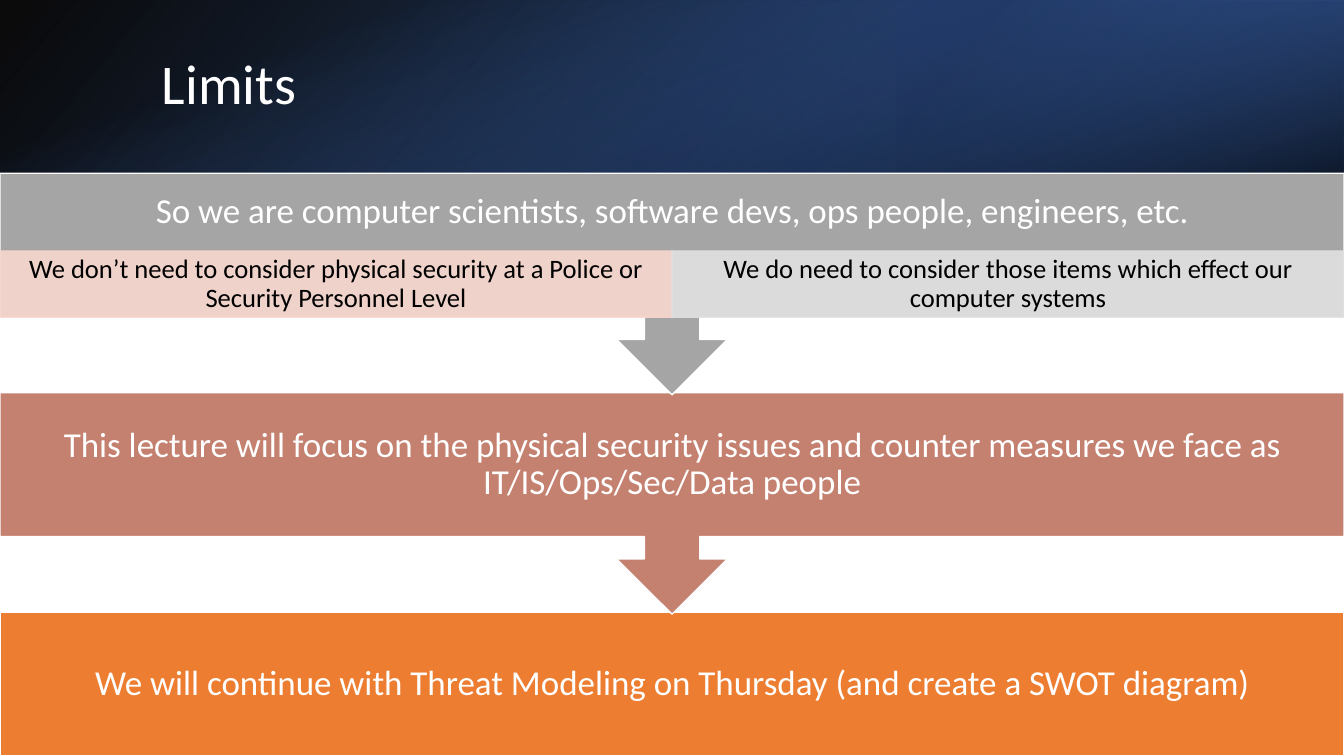
import pptx
import pptx.dml.color
import pptx.enum.shapes
import pptx.enum.text
import pptx.oxml
import pptx.oxml.ns
import pptx.util
from lxml import etree

RGBColor = pptx.dml.color.RGBColor
Shape = pptx.enum.shapes.MSO_SHAPE
Align = pptx.enum.text.PP_ALIGN

WHITE = RGBColor(0xFF, 0xFF, 0xFF)
BLACK = RGBColor(0x00, 0x00, 0x00)
NAVY = RGBColor(0x20, 0x38, 0x64)
DEEP_BLUE = RGBColor(0x2F, 0x55, 0x97)
BLUE = RGBColor(0x44, 0x72, 0xC4)
ORANGE = RGBColor(0xED, 0x7D, 0x31)
CLAY = RGBColor(0xC4, 0x81, 0x70)
GRAY = RGBColor(0xA5, 0xA5, 0xA5)
PALE_PINK = RGBColor(0xF8, 0xD7, 0xCE)
PALE_GRAY = RGBColor(0xE1, 0xE1, 0xE1)

EMU_PER_PX = 9525
WIDTH, HEIGHT = 1280, 720
HEADER = 165
STEP = 209
BAND = 137
CALLOUT = 211
INTRO = 74
DETAIL = 63


class SlideBuilder:
    font = "Calibri"

    def __init__(self, presentation):
        self.slide = presentation.slides.add_slide(presentation.slide_layouts[6])

    def px(self, *lengths):
        return [pptx.util.Emu(length * EMU_PER_PX) for length in lengths]

    def shape(self, kind, box, rotation=0):
        shape = self.slide.shapes.add_shape(kind, *self.px(*box))
        shape.shadow.inherit = False
        shape.rotation = rotation
        return shape

    def gradient(self, box, stops, angle, rotation=0, flip=False):
        shape = self.shape(Shape.RECTANGLE, box, rotation)
        shape.line.fill.background()
        shape.fill.background()
        properties = shape.element.spPr
        if flip:
            properties.find(pptx.oxml.ns.qn("a:xfrm")).set("flipH", "1")
        stop_xml = "".join(
            f'<a:gs pos="{position * 1000}"><a:srgbClr val="{color}">'
            f'<a:alpha val="{opacity * 1000}"/></a:srgbClr></a:gs>'
            for position, color, opacity in stops
        )
        fill = pptx.oxml.parse_xml(
            f'<a:gradFill {pptx.oxml.ns.nsdecls("a")} rotWithShape="1">'
            f'<a:gsLst>{stop_xml}</a:gsLst>'
            f'<a:lin ang="{angle * 60000}" scaled="0"/></a:gradFill>'
        )
        properties.replace(properties.find(pptx.oxml.ns.qn("a:noFill")), fill)

    def block(self, kind, box, color, border, opacity=100, rotation=0):
        shape = self.shape(kind, box, rotation)
        shape.fill.solid()
        shape.fill.fore_color.rgb = color
        shape.line.color.rgb = border
        shape.line.width = pptx.util.Pt(1)
        if opacity < 100:
            for node in shape.element.spPr.iter(pptx.oxml.ns.qn("a:srgbClr")):
                alpha = etree.SubElement(node, pptx.oxml.ns.qn("a:alpha"))
                alpha.set("val", str(opacity * 1000))
        return shape

    def set_text(self, shape, text, size, color, insets, align=Align.CENTER):
        frame = shape.text_frame
        frame.text = text
        frame.word_wrap = True
        frame.vertical_anchor = pptx.enum.text.MSO_ANCHOR.MIDDLE
        side, end = self.px(*insets)
        frame.margin_left = frame.margin_right = side
        frame.margin_top = frame.margin_bottom = end
        paragraph = frame.paragraphs[0]
        paragraph.alignment = align
        paragraph.line_spacing = 0.9
        font = paragraph.runs[0].font
        font.name = self.font
        font.size = pptx.util.Pt(size)
        font.color.rgb = color

    def label(self, box, text, size=25, insets=(18, 18), align=Align.CENTER):
        shape = self.slide.shapes.add_textbox(*self.px(*box))
        self.set_text(shape, text, size, WHITE, insets, align)

    def callout(self, top, text_height, color, text):
        self.block(Shape.UP_ARROW_CALLOUT, (0, top, WIDTH, CALLOUT), color, WHITE, rotation=180)
        self.label((0, top, WIDTH, text_height), text)

    def detail(self, column, color, text):
        half = WIDTH // 2
        box = (column * half, HEADER + INTRO, half, DETAIL)
        shape = self.block(Shape.RECTANGLE, box, color, color, opacity=90)
        self.set_text(shape, text, 19, BLACK, (14, 3))


def main():
    presentation = pptx.Presentation()
    presentation.slide_width = WIDTH * EMU_PER_PX
    presentation.slide_height = HEIGHT * EMU_PER_PX
    builder = SlideBuilder(presentation)

    builder.gradient((0, 0, WIDTH, HEADER), [(0, BLACK, 96), (100, DEEP_BLUE, 100)], 140, flip=True)
    third = WIDTH // 3
    builder.gradient(
        (WIDTH - third, 0, third, HEADER), [(19, NAVY, 68), (100, BLUE, 79)], 320, 180, True
    )
    offset = (WIDTH - HEADER) // 2
    builder.gradient(
        (offset, -offset, HEADER, WIDTH), [(23, BLUE, 0), (99, BLACK, 74)], 340, 90
    )
    builder.label((144, 36, 1054, 92), "Limits", 40, (10, 5), Align.LEFT)

    closing = builder.block(
        Shape.RECTANGLE, (0, HEADER + 2 * STEP, WIDTH, BAND), ORANGE, WHITE
    )
    builder.set_text(
        closing,
        "We will continue with Threat Modeling on Thursday (and create a SWOT diagram)",
        25, WHITE, (18, 18),
    )
    builder.callout(
        HEADER + STEP, BAND, CLAY,
        "This lecture will focus on the physical security issues and counter measures "
        "we face as IT/IS/Ops/Sec/Data people",
    )
    builder.callout(
        HEADER, INTRO, GRAY,
        "So we are computer scientists, software devs, ops people, engineers, etc.",
    )
    details = [
        (PALE_PINK, "We don’t need to consider physical security at a Police or Security Personnel Level"),
        (PALE_GRAY, "We do need to consider those items which effect our computer systems"),
    ]
    for column, (color, text) in enumerate(details):
        builder.detail(column, color, text)

    presentation.save("out.pptx")


if __name__ == "__main__":
    main()
